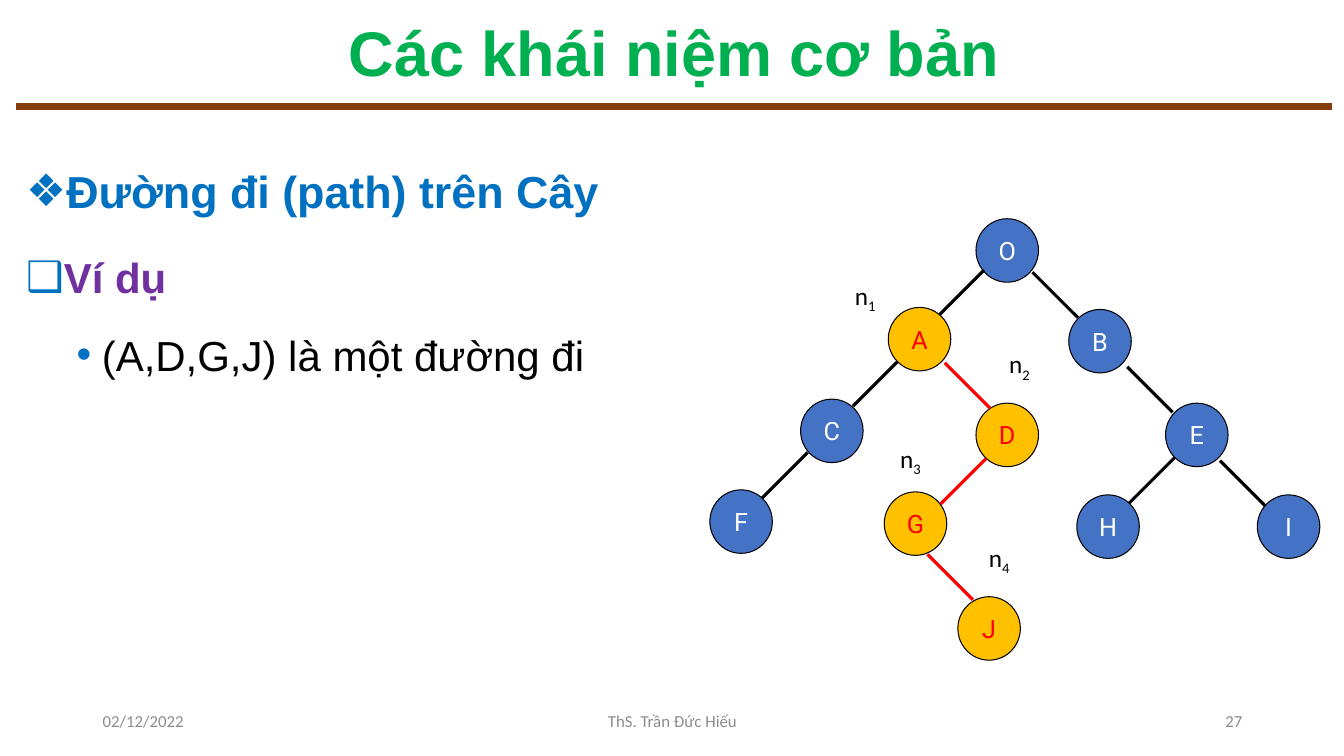
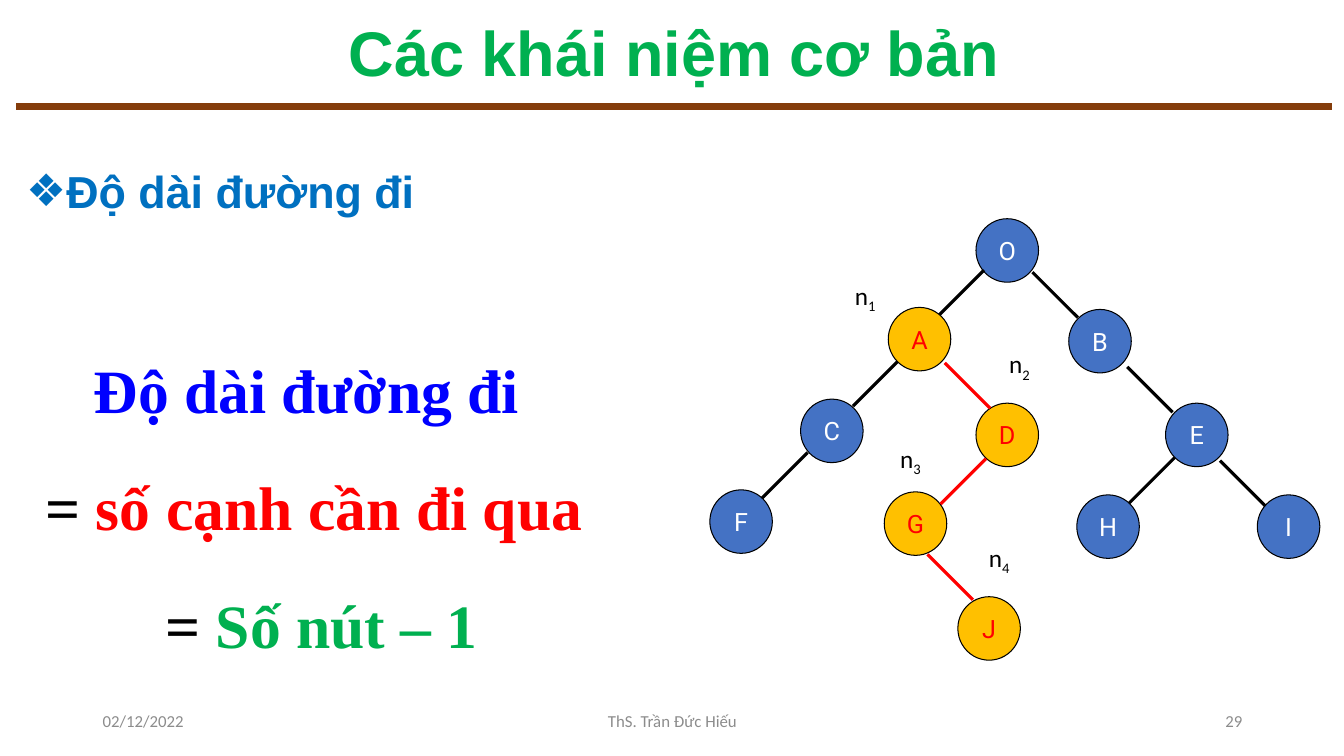
from dataclasses import dataclass
from typing import Any

from lxml.etree import SubElement
from pptx import Presentation
from pptx.dml.color import RGBColor
from pptx.enum.shapes import MSO_CONNECTOR, MSO_SHAPE
from pptx.enum.text import MSO_ANCHOR, MSO_AUTO_SIZE, PP_ALIGN
from pptx.oxml.ns import qn
from pptx.util import Inches, Pt

HUE = {
    "rule": "843C0B", "green": "00B050", "blue": "0070C0", "purple": "7030A0",
    "black": "000000", "white": "FFFFFF", "red": "FF0000", "deep": "0000FF",
    "node": "4472C4", "gold": "FFC000", "gray": "8C8C8C",
}
TITLE = {"name": "Arial", "size": Pt(45), "bold": True, "color": "green"}
HEAD = {"name": "Arial", "size": Pt(32), "bold": True, "color": "blue"}
SUB = HEAD | {"size": Pt(30), "color": "purple"}
ITEM = SUB | {"bold": False, "color": "black"}
NOTE = {"name": "Calibri", "size": Pt(12), "color": "gray"}
LABEL = {"name": "Calibri", "size": Pt(18), "color": "black"}
NODE = {"name": "Roboto", "size": Pt(18)}
SUM = {"name": "Times New Roman", "size": Pt(44), "bold": True}

NODE_W, NODE_H = 0.62, 0.63
STEP = 0.45
LEFT, WIDE = 0.16, 13.05


@dataclass
class Node:
    name: str
    x: float
    y: float
    hot: bool = False


@dataclass
class Edge:
    """A diagonal that falls from x, y to the left (-1) or right (1)."""
    x: float
    y: float
    side: int
    hot: bool = False


@dataclass
class Line:
    """A body paragraph: its runs, bullet, left and right indents and gap above."""
    runs: list[tuple[str, dict[str, Any]]]
    mark: str = ""
    left: float = 0
    right: float = 0
    gap: float = 10
    level: int = 0


@dataclass
class Page:
    number: str
    width: float
    lines: list[Line]


NODES = [
    Node("O", 9.68, 2.17), Node("C", 7.94, 3.96), Node("F", 7.04, 4.86),
    Node("B", 10.6, 3.07), Node("E", 11.56, 4), Node("I", 12.47, 4.91),
    Node("H", 10.68, 4.91), Node("A", 8.81, 3.05, True),
    Node("D", 9.68, 4, True), Node("G", 8.77, 4.88, True),
    Node("J", 9.5, 5.92, True),
]
EDGES = [
    Edge(9.76, 2.68, -1), Edge(8.91, 3.58, -1), Edge(8.01, 4.49, -1),
    Edge(11.65, 4.54, -1), Edge(10.24, 2.7, 1), Edge(11.18, 3.64, 1),
    Edge(12.1, 4.57, 1), Edge(9.78, 4.55, -1, True),
    Edge(9.2, 5.5, 1, True), Edge(9.37, 3.6, 1, True),
]
LABELS = [(8.38, 2.73), (9.91, 3.41), (8.83, 4.35), (9.71, 5.33)]
PAGES = [
    Page("27", WIDE, [
        Line([("Đường đi (path) trên Cây", HEAD)], "❖", 0.25, gap=0),
        Line([("Ví dụ", SUB)], "❑", 0.25, level=1),
        Line([("(A,D,G,J) là một đường đi", ITEM)], "•", 0.75, gap=5, level=1),
    ]),
    Page("29", 6.06, [
        Line([("Độ dài đường đi", HEAD)], "❖", 0.25, gap=0),
        Line([("Độ dài đường đi", SUM | {"color": "deep"})], right=0.3, gap=75),
        Line([("= ", SUM | {"color": "black"}),
              ("số cạnh cần đi qua", SUM | {"color": "red"})], right=0.15),
        Line([("= ", SUM | {"color": "black"}),
              ("Số nút – 1", SUM | {"color": "green"})]),
    ]),
]


def rgb(key: str) -> RGBColor:
    return RGBColor.from_string(HUE[key])


def style(font: Any, form: dict[str, Any]) -> None:
    for key, value in form.items():
        if key == "color":
            font.color.rgb = rgb(value)
        else:
            setattr(font, key, value)


def place(shape: Any, *box: float) -> None:
    for key, value in zip(("left", "top", "width", "height"), box):
        setattr(shape, key, Inches(value))


def write(par: Any, text: str, form: dict[str, Any]) -> Any:
    run = par.add_run()
    run.text = text
    style(run.font, form)
    return run


def stroke(shapes: Any, start: tuple[float, float], end: tuple[float, float],
           color: str, width: float) -> None:
    line = shapes.add_connector(MSO_CONNECTOR.STRAIGHT,
                                *map(Inches, start + end))
    line.line.color.rgb = rgb(color)
    line.line.width = Pt(width)
    SubElement(line.element.spPr, qn("a:effectLst"))


def bullet(par: Any, line: Line) -> None:
    """Set the indents, then the bullet or its absence."""
    prop = par._p.get_or_add_pPr()
    prop.set("marL", str(Inches(line.left)))
    prop.set("marR", str(Inches(line.right)))
    prop.set("indent", str(Inches(-0.25 if line.mark else 0)))
    if line.mark:
        tint = SubElement(prop, qn("a:buClr"))
        SubElement(tint, qn("a:srgbClr"), val=HUE["blue"])
        SubElement(prop, qn("a:buFont"), typeface="Arial")
        SubElement(prop, qn("a:buChar"), char=line.mark)
    else:
        SubElement(prop, qn("a:buNone"))


def frame(slide: Any, number: str) -> None:
    """Draw the title, the rule and the footer that all slides share."""
    title = slide.shapes.title
    place(title, LEFT, 0.15, WIDE, 0.81)
    text = title.text_frame
    text.auto_size = MSO_AUTO_SIZE.NONE
    text.vertical_anchor = MSO_ANCHOR.MIDDLE
    par = text.paragraphs[0]
    par.alignment = PP_ALIGN.CENTER
    par.line_spacing = 0.9
    write(par, "Các khái niệm cơ bản", TITLE)
    stroke(slide.shapes, (LEFT, 1.06), (LEFT + WIDE, 1.06), "rule", 5)
    for x, width, side, words in (
        (0.92, 3, PP_ALIGN.LEFT, "02/12/2022"),
        (4.42, 4.5, PP_ALIGN.CENTER, "ThS. Trần Đức Hiếu"),
        (9.42, 3, PP_ALIGN.RIGHT, number),
    ):
        box = slide.shapes.add_textbox(*map(Inches, (x, 6.95, width, 0.4)))
        box.text_frame.word_wrap = True
        box.text_frame.vertical_anchor = MSO_ANCHOR.MIDDLE
        par = box.text_frame.paragraphs[0]
        par.alignment = side
        write(par, words, NOTE)


def body(slide: Any, page: Page) -> None:
    holder = slide.placeholders[1]
    place(holder, LEFT, 1.36, page.width, 6.05)
    text = holder.text_frame
    text.auto_size = MSO_AUTO_SIZE.NONE
    for i, line in enumerate(page.lines):
        par = text.add_paragraph() if i else text.paragraphs[0]
        par.level = line.level
        par.alignment = PP_ALIGN.JUSTIFY if line.mark else PP_ALIGN.CENTER
        par.line_spacing = 1.4
        par.space_before = Pt(line.gap)
        bullet(par, line)
        for words, form in line.runs:
            write(par, words, form)


def disc(shapes: Any, node: Node) -> None:
    shape = shapes.add_shape(MSO_SHAPE.OVAL, *map(
        Inches, (node.x, node.y, NODE_W, NODE_H)))
    shape.shadow.inherit = False
    shape.fill.solid()
    shape.fill.fore_color.rgb = rgb("gold" if node.hot else "node")
    shape.line.color.rgb = rgb("black")
    shape.line.width = Pt(0.75)
    text = shape.text_frame
    text.word_wrap = False
    text.vertical_anchor = MSO_ANCHOR.MIDDLE
    par = text.paragraphs[0]
    par.alignment = PP_ALIGN.CENTER
    write(par, node.name, NODE | {"color": "red" if node.hot else "white"})


def tree(slide: Any) -> None:
    """Draw the plain part, then the marked path above it, then its labels."""
    shapes = slide.shapes.add_group_shape().shapes
    for hot in (False, True):
        for node in NODES:
            if node.hot == hot:
                disc(shapes, node)
        for edge in EDGES:
            if edge.hot == hot:
                end = (edge.x + edge.side * STEP, edge.y + STEP)
                stroke(shapes, (edge.x, edge.y), end,
                       "red" if hot else "black", 2.25)
    for i, (x, y) in enumerate(LABELS, 1):
        box = shapes.add_textbox(*map(Inches, (x, y, 0.54, 0.52)))
        box.text_frame.word_wrap = False
        par = box.text_frame.paragraphs[0]
        write(par, "n", LABEL)
        index = write(par, str(i), LABEL)
        index._r.get_or_add_rPr().set("baseline", "-25000")


def main() -> None:
    deck = Presentation()
    deck.slide_width = Inches(13.33)
    deck.slide_height = Inches(7.5)
    for page in PAGES:
        slide = deck.slides.add_slide(deck.slide_layouts[1])
        frame(slide, page.number)
        body(slide, page)
        tree(slide)
    deck.save("out.pptx")


if __name__ == "__main__":
    main()
